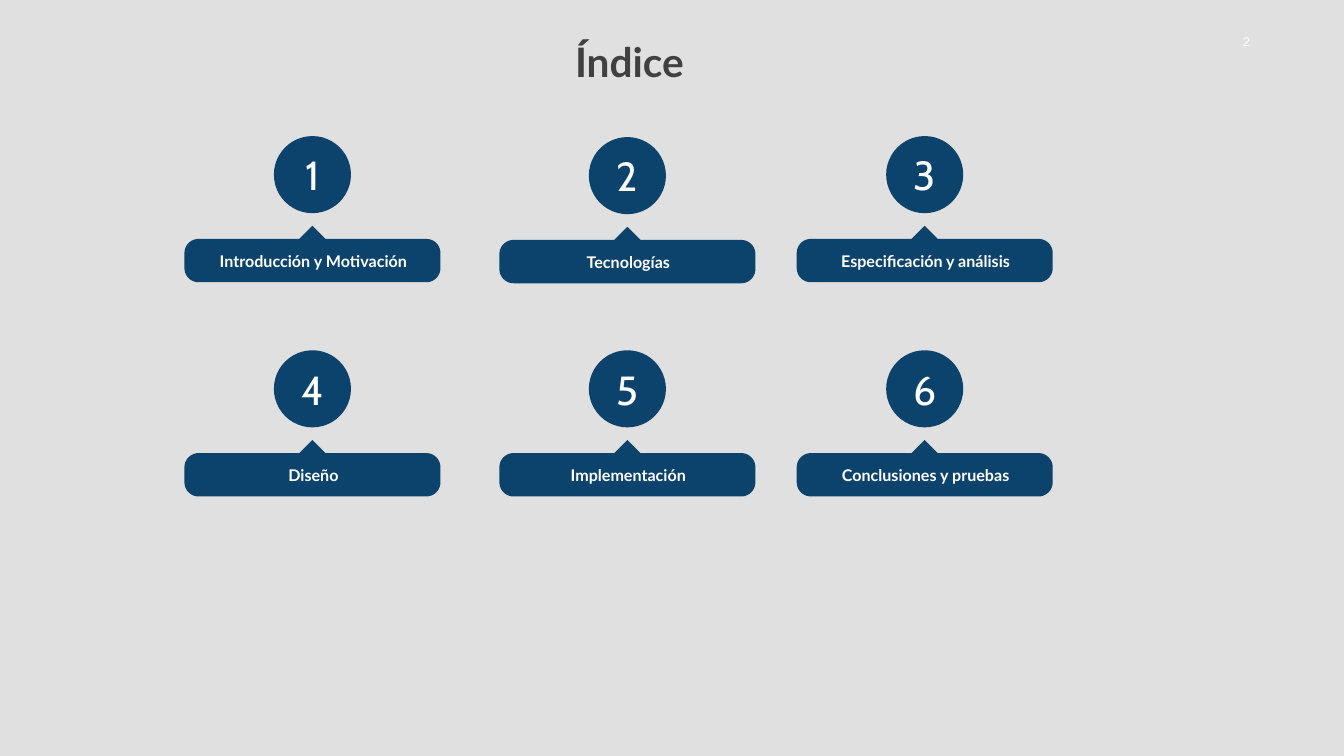
from dataclasses import dataclass
from math import cos, pi, sin

from lxml import etree
from pptx import Presentation
from pptx.dml.color import RGBColor
from pptx.enum.shapes import MSO_SHAPE
from pptx.enum.text import MSO_ANCHOR, PP_ALIGN
from pptx.oxml.ns import qn
from pptx.shapes.autoshape import Shape
from pptx.slide import Slide
from pptx.util import Inches, Pt

RECTANGLE, OVAL = MSO_SHAPE.RECTANGLE, MSO_SHAPE.OVAL
LEFT, CENTER = PP_ALIGN.LEFT, PP_ALIGN.CENTER
TOP, MIDDLE = MSO_ANCHOR.TOP, MSO_ANCHOR.MIDDLE

NAVY, WHITE, GRAY, DARK = "0C436D", "FFFFFF", "D9D9D9", "404040"
PAGE_WIDTH, PAGE_HEIGHT = 26.67, 15
COLUMNS = (3.66, 9.91, 15.81)
ROWS = (2.7, 6.95)
BANNER_WIDTH, BANNER_HEIGHT = 5.08, 1.12
CIRCLE_SIZE = 1.53
POINTER = 0.26
CORNER_RADIUS = 0.28
CORNER_STEPS = 10


@dataclass(frozen=True)
class Topic:
    number: int
    label: str
    left: float
    top: float


LABELS = (
    "Introducción y Motivación",
    "Tecnologías",
    "Especificación y análisis",
    "Diseño",
    "Implementación",
    "Conclusiones y pruebas",
)
DROPS = {2: 0.02}
TOPICS = [
    Topic(number, label, COLUMNS[(number - 1) % 3],
          ROWS[(number - 1) // 3] + DROPS.get(number, 0))
    for number, label in enumerate(LABELS, start=1)
]


def color(value: str) -> RGBColor:
    return RGBColor.from_string(value)


def paint(shape: Shape, fill: str) -> None:
    shape.shadow.inherit = False
    shape.fill.solid()
    shape.fill.fore_color.rgb = color(fill)
    shape.line.fill.background()


def write(shape: Shape, text: str, *, size: float, font: str, fill: str,
          bold: bool = False, align: PP_ALIGN = CENTER,
          anchor: MSO_ANCHOR = MIDDLE, inset: float = 0, wrap: bool = True) -> None:
    frame = shape.text_frame
    frame.word_wrap = wrap
    frame.vertical_anchor = anchor
    frame.margin_left = frame.margin_right = Inches(inset)
    frame.margin_top = frame.margin_bottom = Inches(inset)
    paragraph = frame.paragraphs[0]
    paragraph.alignment = align
    span = paragraph.add_run()
    span.text = text
    span.font.name = font
    span.font.size = Pt(size)
    span.font.bold = bold
    span.font.color.rgb = color(fill)


def draw_backdrop(page: Slide) -> None:
    backdrop = page.shapes.add_shape(
        RECTANGLE, 0, 0, Inches(PAGE_WIDTH), Inches(PAGE_HEIGHT))
    paint(backdrop, GRAY)
    fill = backdrop._element.spPr.find(qn("a:solidFill"))
    etree.SubElement(fill[0], qn("a:alpha"), val="80000")
    page.shapes._spTree.insert(2, backdrop._element)


def banner_outline(left: float, top: float) -> list[tuple[int, int]]:
    right, bottom = left + BANNER_WIDTH, top + BANNER_HEIGHT
    middle, edge = left + BANNER_WIDTH / 2, top + POINTER
    radius = CORNER_RADIUS
    corners = (
        (right - radius, edge + radius, -pi / 2),
        (right - radius, bottom - radius, 0),
        (left + radius, bottom - radius, pi / 2),
        (left + radius, edge + radius, pi),
    )
    points = [(middle, top), (middle + POINTER, edge)]
    for x, y, start in corners:
        for step in range(CORNER_STEPS + 1):
            angle = start + pi / 2 * step / CORNER_STEPS
            points.append((x + radius * cos(angle), y + radius * sin(angle)))
    points.append((middle - POINTER, edge))
    return [(Inches(x), Inches(y)) for x, y in points]


def draw_banner(page: Slide, topic: Topic) -> None:
    first, *others = banner_outline(topic.left, topic.top + 1.78)
    builder = page.shapes.build_freeform(*first)
    builder.add_line_segments(others, close=True)
    paint(builder.convert_to_shape(), NAVY)
    box = page.shapes.add_textbox(
        Inches(topic.left + 0.1), Inches(topic.top + 2.28),
        Inches(4.92), Inches(0.39))
    write(box, topic.label, size=23, font="Lato", fill=WHITE, bold=True, anchor=TOP)


def draw_circle(page: Slide, topic: Topic) -> None:
    circle = page.shapes.add_shape(
        OVAL, Inches(topic.left + (BANNER_WIDTH - CIRCLE_SIZE) / 2),
        Inches(topic.top), Inches(CIRCLE_SIZE), Inches(CIRCLE_SIZE))
    paint(circle, NAVY)
    write(circle, str(topic.number), size=58, font="Cabin", fill=WHITE)


def main() -> None:
    deck = Presentation()
    deck.slide_width, deck.slide_height = Inches(PAGE_WIDTH), Inches(PAGE_HEIGHT)
    page = deck.slides.add_slide(deck.slide_layouts[5])
    draw_backdrop(page)

    title = page.shapes.title
    title.left, title.top = Inches(2.76), Inches(0.69)
    title.width, title.height = Inches(19.46), Inches(1.07)
    write(title, "Índice", size=58, font="Lato", fill=DARK, bold=True, inset=0.06)

    page_number = page.shapes.add_textbox(
        Inches(24.67), Inches(0.67), Inches(0.26), Inches(0.39))
    write(page_number, "2", size=18, font="Arial", fill=WHITE,
          align=LEFT, anchor=TOP, wrap=False)

    for topic in TOPICS:
        draw_banner(page, topic)
        draw_circle(page, topic)
    deck.save("out.pptx")


if __name__ == "__main__":
    main()
